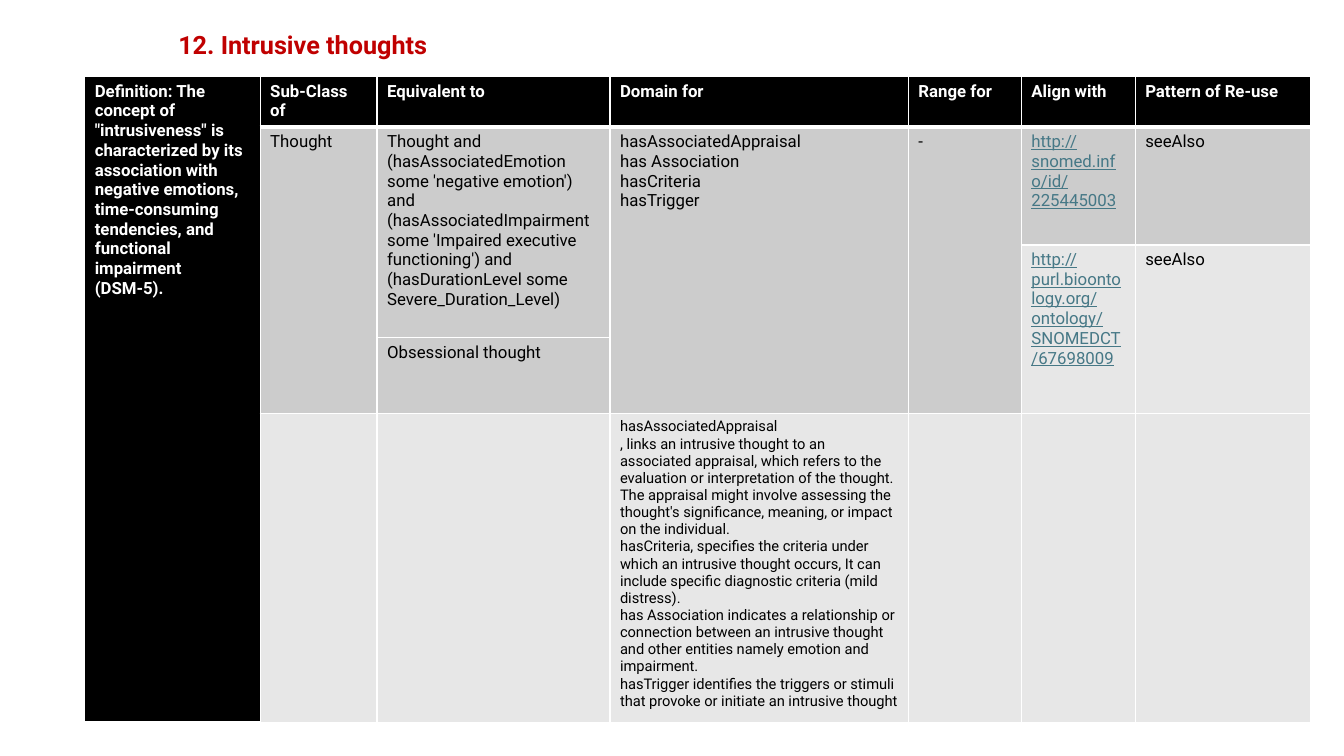
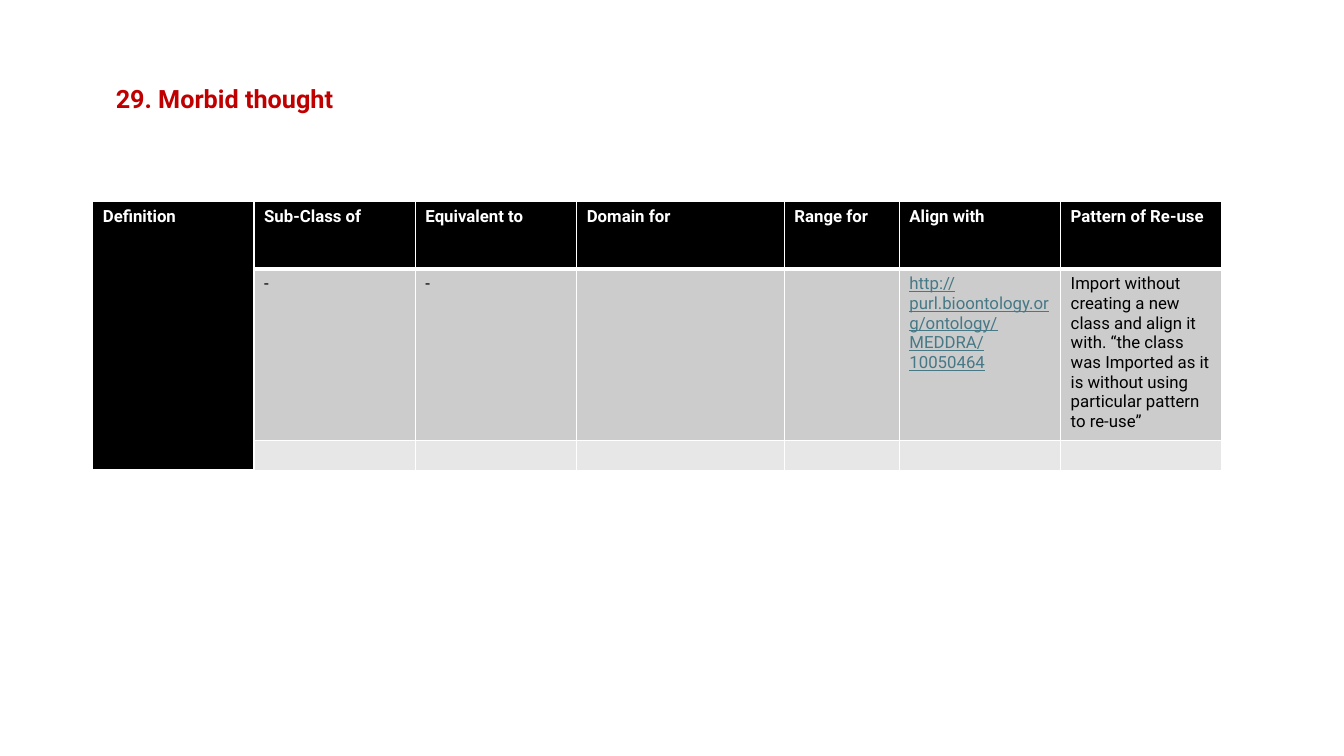
from lxml import etree
from pptx import Presentation
from pptx.dml.color import RGBColor
from pptx.enum import text
from pptx.oxml import ns
from pptx.util import Inches, Pt

FONT = "Roboto"
RED = RGBColor(0xC0, 0x00, 0x00)
BLACK = RGBColor(0x00, 0x00, 0x00)
WHITE = RGBColor(0xFF, 0xFF, 0xFF)
GREY = RGBColor(0xCC, 0xCC, 0xCC)
LIGHT = RGBColor(0xE7, 0xE7, 0xE7)
LINK = RGBColor(0x46, 0x78, 0x86)

TITLE = dict(name=FONT, size=Pt(18), bold=True)
HEADER = dict(name=FONT, size=Pt(12), bold=True)
BODY = dict(name=FONT, size=Pt(12), bold=False)
SMALL = dict(name=FONT, size=Pt(10.5), bold=False)

HEADINGS = ["Sub-Class of", "Equivalent to", "Domain for", "Range for",
            "Align with", "Pattern of Re-use"]

# Cells map (row, column) to text; merges map (row, column) to the last row covered.
SLIDES = [
    dict(
        title="12. Intrusive thoughts", title_at=(1.67, 0.24, 2.73, 0.4),
        table_at=(0.84, 0.76),
        cols=[1.74, 1.16, 2.31, 2.96, 1.12, 1.13, 1.74],
        rows=[0.5, 1.17, 0.92, 0.75, 3.06],
        definition="Definition: The concept of \"intrusiveness\" is characterized by its "
                   "association with negative emotions, time-consuming tendencies, and "
                   "functional impairment (DSM-5).",
        merges={(0, 0): 4, (1, 1): 3, (1, 2): 2, (1, 3): 3, (1, 4): 3,
                (2, 5): 3, (2, 6): 3},
        small_row=4,
        cells={
            (1, 1): "Thought",
            (1, 2): "Thought and (hasAssociatedEmotion some 'negative emotion') and "
                    "(hasAssociatedImpairment some 'Impaired executive functioning') and "
                    "(hasDurationLevel some Severe_Duration_Level)",
            (1, 3): "hasAssociatedAppraisal\nhas Association\nhasCriteria\nhasTrigger",
            (1, 4): "-",
            (1, 5): "http://snomed.info/id/225445003",
            (1, 6): "seeAlso",
            (2, 5): "http://purl.bioontology.org/ontology/SNOMEDCT/67698009",
            (2, 6): "seeAlso",
            (3, 2): "Obsessional thought",
            (4, 3): "hasAssociatedAppraisal\n"
                    ", links an intrusive thought to an associated appraisal, which refers "
                    "to the evaluation or interpretation of the thought. The appraisal might "
                    "involve assessing the thought's significance, meaning, or impact on the "
                    "individual.\n"
                    "hasCriteria, specifies the criteria under which an intrusive thought "
                    "occurs, It can include specific diagnostic criteria (mild distress).\n"
                    "has Association indicates a relationship or connection between an "
                    "intrusive thought and other entities namely emotion and impairment.\n"
                    "hasTrigger identifies the triggers or stimuli that provoke or initiate "
                    "an intrusive thought",
        }),
    dict(
        title="29. Morbid thought", title_at=(1.05, 0.78, 2.4, 0.4),
        table_at=(0.92, 2),
        cols=[1.6, 1.6, 1.6, 2.06, 1.14, 1.6, 1.6],
        rows=[0.67, 1.7, 0.29],
        definition="Definition",
        merges={(0, 0): 2},
        small_row=None,
        cells={
            (1, 1): "-",
            (1, 2): "-",
            (1, 5): "http://purl.bioontology.org/ontology/MEDDRA/10050464",
            (1, 6): "Import without creating a new class and align it with. “the class was "
                    "Imported as it is without using particular pattern to re-use”",
        }),
]


def add_text(p, words, style, color):
    r = p.add_run()
    r.text = words
    for key, value in style.items():
        setattr(r.font, key, value)
    r.font.color.rgb = color
    r.font.underline = True if color == LINK else None


def add_borders(cell, bottom):
    """Draw white cell borders; the bottom one has its own width in points."""
    props = cell._tc.get_or_add_tcPr()
    for i, (side, width) in enumerate(dict(lnL=1, lnR=1, lnT=1, lnB=bottom).items()):
        ln = etree.Element(ns.qn("a:" + side), w=str(Pt(width)))
        fill = etree.SubElement(ln, ns.qn("a:solidFill"))
        etree.SubElement(fill, ns.qn("a:srgbClr"), val=str(WHITE))
        props.insert(i, ln)


prs = Presentation()
prs.slide_width, prs.slide_height = Inches(13.33), Inches(7.5)

for page in SLIDES:
    s = prs.slides.add_slide(prs.slide_layouts[6])
    tf = s.shapes.add_textbox(*map(Inches, page["title_at"])).text_frame
    tf.word_wrap = False
    tf.auto_size = text.MSO_AUTO_SIZE.SHAPE_TO_FIT_TEXT
    add_text(tf.paragraphs[0], page["title"], TITLE, RED)

    cols, rows = page["cols"], page["rows"]
    size = (sum(cols), sum(rows))
    table = s.shapes.add_table(len(rows), len(cols),
                               *map(Inches, page["table_at"] + size)).table
    table.first_row = table.horz_banding = False
    for column, width in zip(table.columns, cols):
        column.width = Inches(width)
    for row, height in zip(table.rows, rows):
        row.height = Inches(height)
    for (top, col), last in page["merges"].items():
        table.cell(top, col).merge(table.cell(last, col))

    words_at = dict(page["cells"])
    for col, heading in enumerate([page["definition"]] + HEADINGS):
        words_at[0, col] = heading

    for row in range(len(rows)):
        for col in range(len(cols)):
            cell = table.cell(row, col)
            is_header = row == 0 or col == 0
            cell.fill.solid()
            cell.fill.fore_color.rgb = BLACK if is_header else GREY if row % 2 else LIGHT
            add_borders(cell, 3 if is_header else 1)
            style = HEADER if is_header else SMALL if row == page["small_row"] else BODY
            tf = cell.text_frame
            if (row, col) not in words_at:
                end = tf.paragraphs[0]._p.get_or_add_endParaRPr()
                end.set("sz", str(int(BODY["size"].pt * 100)))
                continue
            words = words_at[row, col]
            color = WHITE if is_header else LINK if words.startswith("http") else BLACK
            for i, line in enumerate(words.split("\n")):
                p = tf.add_paragraph() if i else tf.paragraphs[0]
                add_text(p, line, style, color)

prs.save("out.pptx")
